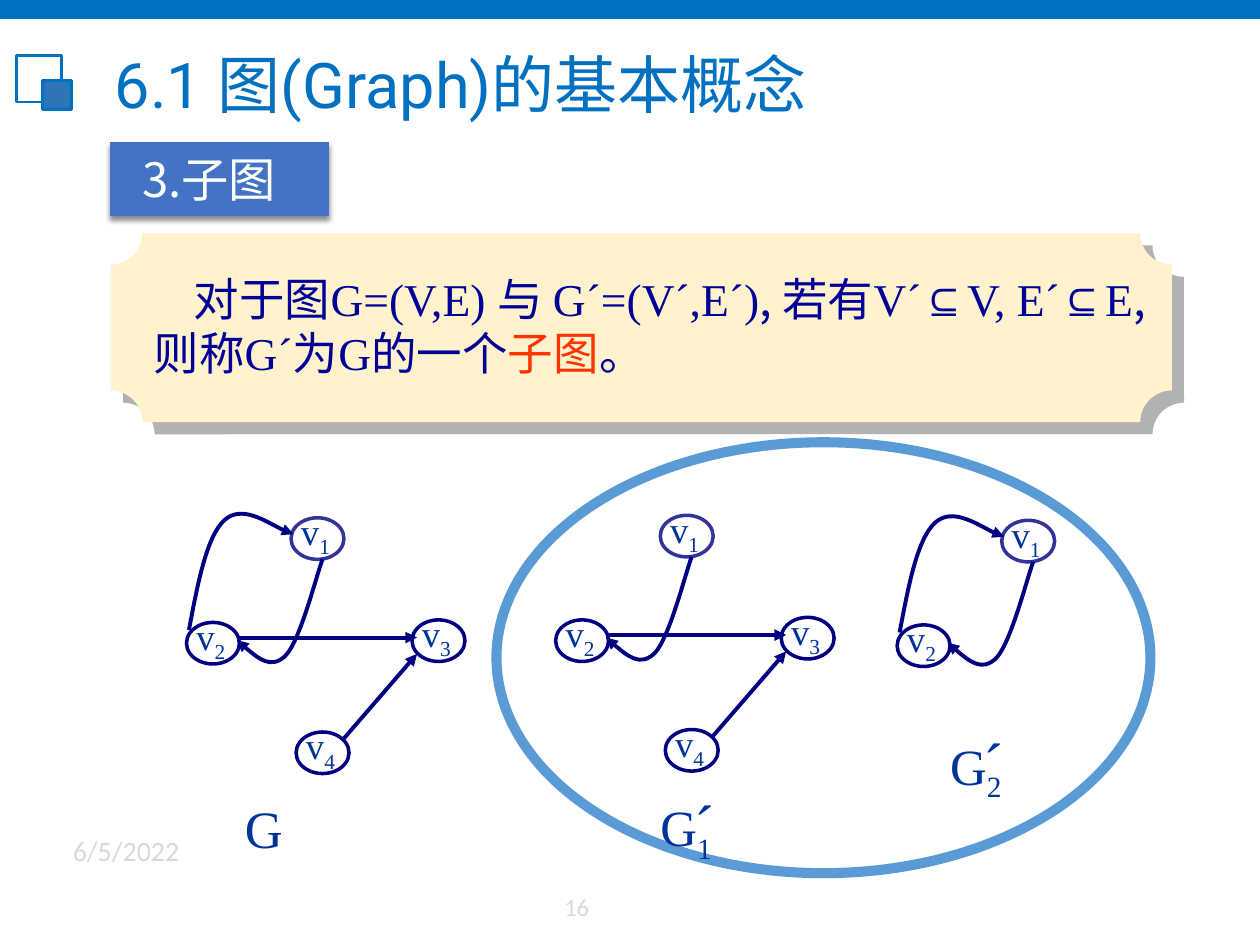
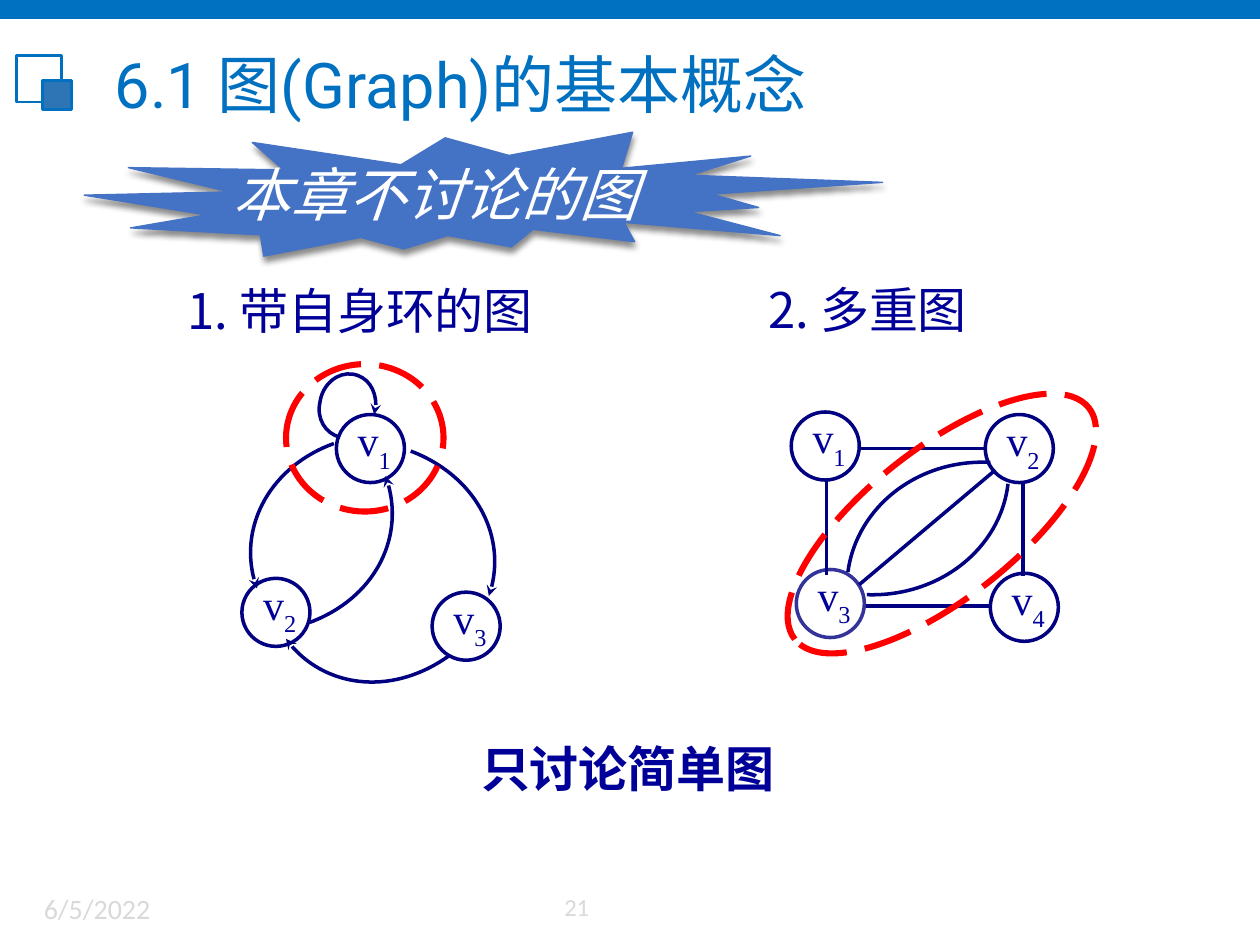
from dataclasses import dataclass

from lxml.etree import SubElement
from pptx import Presentation
from pptx.dml.color import RGBColor
from pptx.enum.dml import MSO_LINE_DASH_STYLE as Dash
from pptx.enum.shapes import MSO_CONNECTOR as Connector, MSO_SHAPE as Shape
from pptx.enum.text import MSO_ANCHOR as Anchor, MSO_AUTO_SIZE as AutoSize, PP_ALIGN as Align
from pptx.oxml.ns import qn
from pptx.util import Emu, Inches, Pt

BLUE = RGBColor(0x00, 0x70, 0xC0)
DARK_BLUE = RGBColor(0x2E, 0x75, 0xB6)
BADGE = RGBColor(0x44, 0x72, 0xC4)
RING = RGBColor(0x5B, 0x9B, 0xD5)
NAVY = RGBColor(0x00, 0x00, 0x80)
SOFT_NAVY = RGBColor(0x33, 0x33, 0x99)
TEXT_BLUE = RGBColor(0x00, 0x00, 0x99)
LABEL_BLUE = RGBColor(0x00, 0x33, 0x99)
CREAM = RGBColor(0xFF, 0xF2, 0xCC)
ORANGE_RED = RGBColor(0xFF, 0x33, 0x00)
RED = RGBColor(0xFF, 0x00, 0x00)
GREY = RGBColor(0xD9, 0xD9, 0xD9)
WHITE = RGBColor(0xFF, 0xFF, 0xFF)

SANS = "Noto Sans CJK SC"
SERIF = "Times New Roman"
TITLE_FONT = "Roboto"
FOOTER_FONT = "Calibri"

# Shadows: colour, opacity %, blur pt, distance pt, direction degrees
HARD_SHADOW = ("B2B2B2", 100, 0, 9.9, 45)
SOFT_SHADOW = ("000000", 45, 3, 2.4, 90)


@dataclass
class GraphStyle:
    node: tuple            # width, height
    label: tuple           # left, top, width, height, relative to the node
    size: int
    color: RGBColor
    baseline: int
    align: Align
    edge_width: float
    arrow: str


SUBGRAPH_STYLE = GraphStyle((0.42, 0.33), (-0.02, -0.12, 0.44, 0.45), 21,
                            LABEL_BLUE, -25, Align.LEFT, 2.25, "triangle")
EXCLUDED_STYLE = GraphStyle((0.54, 0.54), (0.06, -0.05, 0.48, 0.5), 24,
                            TEXT_BLUE, -30, Align.CENTER, 2, "stealth")

# Slide 1: places of nodes and edges, from the corner of a graph's box
SUBGRAPH_NODES = {1: (0.85, 0.12), 2: (0.02, 0.95), 3: (1.81, 0.93), 4: (0.89, 1.82)}
EDGE_2_3 = [(0.44, 1.07), (1.85, 1.07)]
EDGE_4_3 = [(1.27, 1.87), (1.85, 1.2)]
EDGE_2_1 = [(0.04, 1.01), (0.11, 0.64), (0.18, 0.27), (0.32, 0.14),
            (0.46, 0.01), (0.78, 0.23), (0.87, 0.25)]
EDGE_1_2 = [(1.1, 0.45), (1.05, 0.58), (0.92, 1.11), (0.8, 1.22),
            (0.69, 1.32), (0.55, 1.21), (0.42, 1.09)]

# Slide 2: the graph with a loop, and the multigraph
LOOP_NODES = {1: (0.77, 0.39), 2: (0.02, 1.69), 3: (1.53, 1.8)}
LOOP_EDGES = [
    [(1.36, 0.68), (1.86, 0.87), (2.14, 1.38), (1.98, 1.83)],
    [(1.67, 2.3), (1.23, 2.62), (0.65, 2.56), (0.37, 2.17)],
    [(0.75, 0.62), (0.25, 0.8), (-0.03, 1.32), (0.14, 1.77)],
    [(0.56, 2.04), (1.07, 1.85), (1.33, 1.33), (1.16, 0.88)],
    [(0.8, 0.57), (0.68, 0.54), (0.61, 0.42), (0.64, 0.29), (0.66, 0.15),
     (0.78, 0.05), (0.9, 0.07), (1.02, 0.09), (1.1, 0.22), (1.08, 0.36),
     (1.08, 0.37), (1.07, 0.38), (1.07, 0.39)],
]
MULTI_NODES = {1: (0.08, 0.07), 2: (1.62, 0.09), 3: (0.12, 1.32), 4: (1.66, 1.35)}
MULTI_EDGES = [
    [(0.36, 0.61), (0.36, 1.36)],
    [(1.92, 0.62), (1.92, 1.37)],
    [(0.62, 0.36), (1.62, 0.36)],
    [(0.67, 1.61), (1.67, 1.61)],
    [(1.7, 0.53), (0.62, 1.44)],
    [(1.8, 0.64), (1.74, 1.16), (1.25, 1.54), (0.68, 1.52)],
    [(0.53, 1.34), (0.6, 0.82), (1.09, 0.44), (1.66, 0.47)],
]


# ---- Basic parts ----
def set_line(shape, color, width):
    shape.line.color.rgb = color
    shape.line.width = Pt(width)


def add_shadow(shape, shadow):
    color, opacity, blur, distance, angle = shadow
    effects = shape._element.spPr.find(qn("a:effectLst"))
    outer = SubElement(effects, qn("a:outerShdw"), blurRad=str(Pt(blur)),
                       dist=str(Pt(distance)), dir=str(angle * 60000),
                       algn="ctr", rotWithShape="0")
    tint = SubElement(outer, qn("a:srgbClr"), val=color)
    SubElement(tint, qn("a:alpha"), val=str(opacity * 1000))


def add_box(slide, kind, box, fill=None, line=None, width=1.5, shadow=None):
    shape = slide.shapes.add_shape(kind, *map(Inches, box))
    shape.shadow.inherit = False
    if fill is None:
        shape.fill.background()
    else:
        shape.fill.solid()
        shape.fill.fore_color.rgb = fill
    if line is None:
        shape.line.fill.background()
    else:
        set_line(shape, line, width)
    if shadow:
        add_shadow(shape, shadow)
    return shape


def add_run(paragraph, text, font_name, size, color, baseline=0, bold=False, italic=False):
    run = paragraph.add_run()
    run.text = text
    run.font.size = Pt(size)
    run.font.color.rgb = color
    run.font.name = font_name
    if bold:
        run.font.bold = True
    if italic:
        run.font.italic = True
    properties = run._r.get_or_add_rPr()
    SubElement(properties, qn("a:ea"), typeface=SANS)
    if baseline:
        properties.set("baseline", str(baseline * 1000))


def add_text(slide, box, align=Align.LEFT, wrap=True, grow=True):
    """Add an empty text box and return its first paragraph and frame."""
    frame = slide.shapes.add_textbox(*map(Inches, box)).text_frame
    frame.word_wrap = wrap
    frame.auto_size = AutoSize.SHAPE_TO_FIT_TEXT if grow else AutoSize.NONE
    paragraph = frame.paragraphs[0]
    paragraph.alignment = align
    return paragraph, frame


def add_line_of_text(slide, box, text, font_name, size, color, **options):
    paragraph, _ = add_text(slide, box)
    add_run(paragraph, text, font_name, size, color, **options)


# ---- Graphs ----
def add_curve(slide, points):
    """Draw a chain of cubic curves: a start, then three points for each curve."""
    start, *controls = [(Inches(x), Inches(y)) for x, y in points]
    builder = slide.shapes.build_freeform(*start)
    builder.add_line_segments(controls, close=False)
    shape = builder.convert_to_shape()
    shape.shadow.inherit = False
    shape.fill.background()
    segments = list(shape._element.iter(qn("a:lnTo")))
    outline = segments[0].getparent()
    for first in range(0, len(segments), 3):
        curve = SubElement(outline, qn("a:cubicBezTo"))
        for segment in segments[first:first + 3]:
            curve.append(segment[0])
            outline.remove(segment)
    return shape


def add_edge(slide, points, style, directed):
    if len(points) == 2:
        ends = [Inches(value) for point in points for value in point]
        shape = slide.shapes.add_connector(Connector.STRAIGHT, *ends)
        SubElement(shape._element.spPr, qn("a:effectLst"))
    else:
        shape = add_curve(slide, points)
    set_line(shape, NAVY, style.edge_width)
    if directed:
        SubElement(shape.line._get_or_add_ln(), qn("a:tailEnd"), type=style.arrow)


def add_graph(slide, left, top, nodes, edges, style, soft_node=None, directed=True):
    for number, (x, y) in nodes.items():
        add_box(slide, Shape.OVAL, (left + x, top + y, *style.node),
                line=SOFT_NAVY if number == soft_node else NAVY, width=2)
    for points in edges:
        add_edge(slide, [(left + x, top + y) for x, y in points], style, directed)
    for number, (x, y) in nodes.items():
        dx, dy, width, height = style.label
        paragraph, _ = add_text(slide, (left + x + dx, top + y + dy, width, height),
                                style.align, wrap=False)
        add_run(paragraph, "v", SERIF, style.size, style.color)
        add_run(paragraph, str(number), SERIF, style.size, style.color, style.baseline)


def add_graph_name(slide, left, top, index):
    """Write G with a subscript, and a prime above the subscript."""
    paragraph, _ = add_text(slide, (left, top, 0.65, 0.58), Align.CENTER, wrap=False)
    add_run(paragraph, "G", SERIF, 29, LABEL_BLUE)
    add_run(paragraph, index, SERIF, 29, LABEL_BLUE, -25)
    paragraph, _ = add_text(slide, (left + 0.29, top - 0.07, 0.36, 0.68),
                            Align.CENTER, wrap=False)
    add_run(paragraph, "´", SERIF, 35, LABEL_BLUE)


# ---- Shared frame: band, emblem, title, footers ----
def add_frame(presentation, number, date_left, date_top):
    slide = presentation.slides.add_slide(presentation.slide_layouts[6])
    add_box(slide, Shape.RECTANGLE, (0, 0, 10, 0.15), fill=BLUE)
    add_box(slide, Shape.RECTANGLE, (0.13, 0.44, 0.36, 0.37), line=BLUE)
    add_box(slide, Shape.RECTANGLE, (0.34, 0.64, 0.23, 0.23), fill=DARK_BLUE, line=BLUE)
    paragraph, frame = add_text(slide, (0.69, 0.25, 8.47, 0.82), grow=False)
    frame.vertical_anchor = Anchor.MIDDLE
    add_run(paragraph, " 6.1 图(Graph)的基本概念", TITLE_FONT, 36, BLUE)
    for box, text, size in (((date_left, date_top, 1.84, 0.4), "6/5/2022", 16),
                            ((4.38, 7.03, 0.62, 0.38), number, 14)):
        paragraph, _ = add_text(slide, box, grow=False)
        add_run(paragraph, text, FOOTER_FONT, size, GREY)
    return slide


# ---- Slide 1: subgraphs ----
def add_definition(slide, left, top):
    plaque = add_box(slide, Shape.PLAQUE, (left, top, 8.42, 1.5),
                     fill=CREAM, shadow=HARD_SHADOW)
    plaque.adjustments[0] = 0.167
    paragraph, _ = add_text(slide, (left + 0.24, top + 0.25, 8.25, 0.97))
    paragraph._p.get_or_add_pPr().set("indent", str(Inches(0.32)))
    for text, font_name in (("对于图", SANS), ("G=(V,E) ", SERIF), ("与 ", SANS),
                            ("G´=(V´,E´)", SERIF), (", 若有", SANS),
                            ("V´⊆V, E´⊆E", SERIF), (",则称", SANS), ("G´", SERIF),
                            ("为", SANS), ("G", SERIF), ("的一个", SANS)):
        add_run(paragraph, text, font_name, 26, TEXT_BLUE)
    add_run(paragraph, "子图", SANS, 26, ORANGE_RED)
    add_run(paragraph, "。", SANS, 26, TEXT_BLUE)


def build_subgraph_slide(presentation):
    slide = add_frame(presentation, "16", 0.48, 6.57)
    add_definition(slide, 0.88, 1.85)
    add_box(slide, Shape.RECTANGLE, (0.88, 1.13, 1.73, 0.58),
            fill=BADGE, line=BADGE, width=0.79, shadow=SOFT_SHADOW)
    add_line_of_text(slide, (1.03, 1.14, 1.48, 0.55), "3.子图", SANS, 27, WHITE)
    add_box(slide, Shape.OVAL, (3.94, 3.51, 5.19, 3.42), line=RING, width=5.75)

    # The whole graph, then its two subgraphs
    first_two = {number: SUBGRAPH_NODES[number] for number in (1, 2)}
    for left, top, nodes, edges in (
            (1.46, 3.99, SUBGRAPH_NODES, [EDGE_2_3, EDGE_4_3, EDGE_2_1, EDGE_1_2]),
            (4.39, 3.97, SUBGRAPH_NODES, [EDGE_2_3, EDGE_4_3, EDGE_1_2]),
            (7.1, 4.01, first_two, [EDGE_2_1, EDGE_1_2])):
        add_graph(slide, left, top, nodes, edges, SUBGRAPH_STYLE, soft_node=1)
    paragraph, _ = add_text(slide, (1.83, 6.27, 0.53, 0.6), Align.CENTER, wrap=False)
    add_run(paragraph, "G", SERIF, 30, LABEL_BLUE)
    add_graph_name(slide, 5.12, 6.27, "1")
    add_graph_name(slide, 7.42, 5.78, "2")


# ---- Slide 2: graphs left out of the chapter ----
def add_burst(slide, left, top):
    burst = add_box(slide, Shape.EXPLOSION2, (left, top, 6.33, 1.08),
                    fill=BADGE, line=BADGE, width=0.79, shadow=SOFT_SHADOW)
    burst.rotation = 1.9
    add_line_of_text(slide, (left + 1.08, top + 0.2, 3.58, 0.65),
                     "本章不讨论的图", SERIF, 33, WHITE, italic=True)


def add_dashed_ring(slide, box, rotation=0):
    ring = add_box(slide, Shape.OVAL, box, line=RED, width=3.5)
    ring.line.dash_style = Dash.LONG_DASH
    ring.rotation = rotation


def build_excluded_slide(presentation):
    slide = add_frame(presentation, "21", 0.25, 7.03)
    add_line_of_text(slide, (1.39, 2.18, 3.53, 0.57), "1. 带自身环的图", SANS, 28, TEXT_BLUE)
    add_graph(slide, 1.9, 2.9, LOOP_NODES, LOOP_EDGES, EXCLUDED_STYLE)
    add_graph(slide, 6.2, 3.2, MULTI_NODES, MULTI_EDGES, EXCLUDED_STYLE,
              soft_node=3, directed=False)
    add_line_of_text(slide, (6, 2.17, 2.67, 0.57), "2. 多重图", SANS, 28, TEXT_BLUE)
    add_dashed_ring(slide, (2.27, 2.89, 1.25, 1.17))
    add_dashed_ring(slide, (5.99, 3.56, 2.97, 1.19), 321.8)
    add_burst(slide, 0.67, 1.01)
    add_line_of_text(slide, (3.72, 5.81, 3.53, 0.57), "只讨论简单图", SANS, 28,
                     TEXT_BLUE, bold=True)


def main():
    presentation = Presentation()
    presentation.slide_width, presentation.slide_height = Emu(Inches(10)), Emu(Inches(7.5))
    build_subgraph_slide(presentation)
    build_excluded_slide(presentation)
    presentation.save("out.pptx")


if __name__ == "__main__":
    main()
